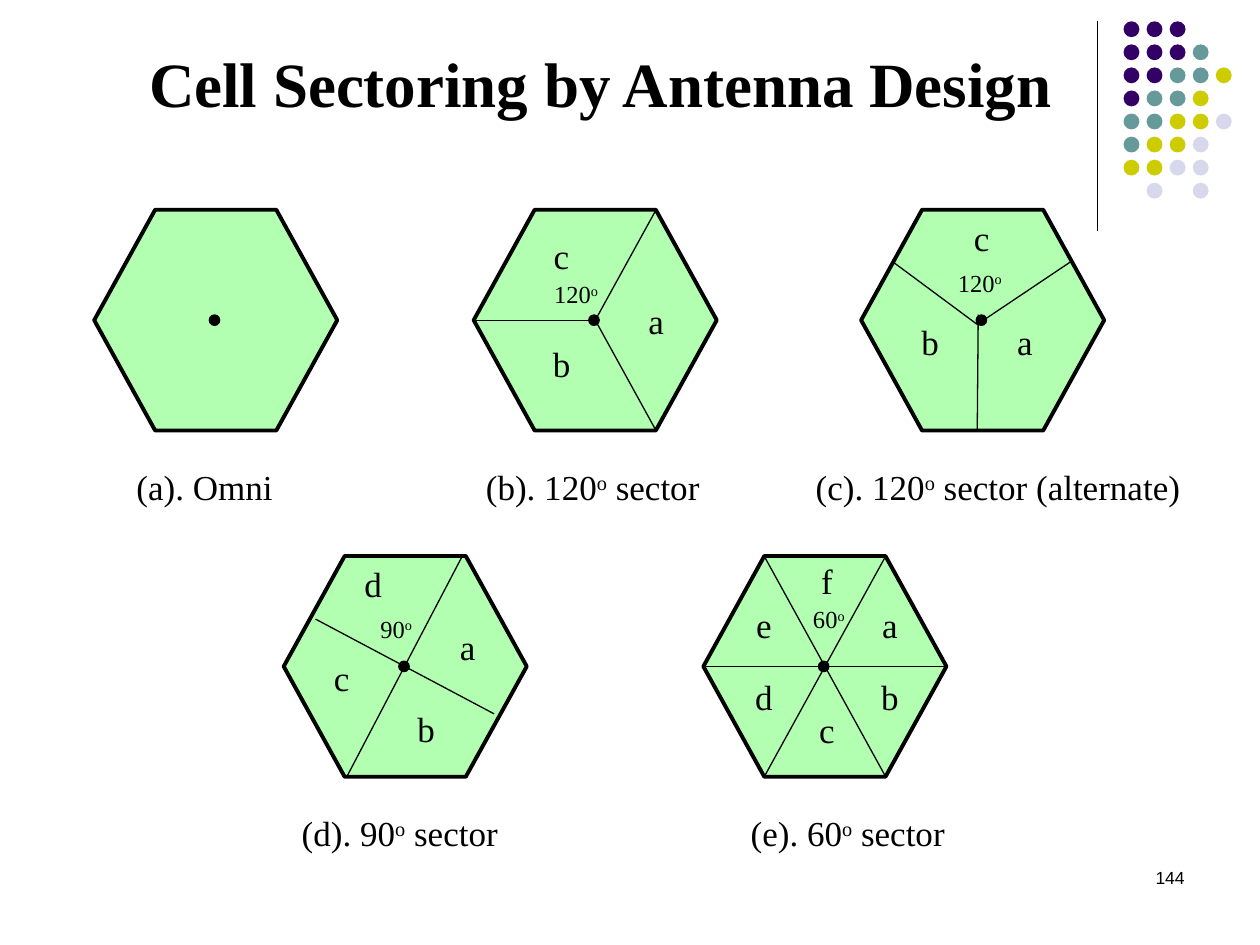
from lxml import etree
from pptx import Presentation
from pptx.dml.color import RGBColor
from pptx.enum.shapes import MSO_CONNECTOR, MSO_SHAPE
from pptx.enum.text import MSO_ANCHOR, PP_ALIGN
from pptx.oxml.ns import qn
from pptx.util import Cm, Pt

LINE = MSO_CONNECTOR.STRAIGHT
OVAL, HEX = MSO_SHAPE.OVAL, MSO_SHAPE.HEXAGON
LEFT, MID, RIGHT = PP_ALIGN.LEFT, PP_ALIGN.CENTER, PP_ALIGN.RIGHT
BOTTOM = MSO_ANCHOR.BOTTOM

BLACK = RGBColor(0x00, 0x00, 0x00)
GREEN = RGBColor(0x66, 0xFF, 0x66)
TINTS = {
    "P": RGBColor(0x33, 0x00, 0x66),
    "T": RGBColor(0x66, 0x99, 0x99),
    "Y": RGBColor(0xCC, 0xCC, 0x00),
    "L": RGBColor(0xD8, 0xD8, 0xEC),
}
DOTS = ["PPP", "PPPT", "PPTTY", "PTTY", "TTYYL", "TYYL", "YYLL", " L L"]
SERIF, SANS = "Times New Roman", "Arial"

# Cell size and hub in cm; corners lie a quarter of the width in
WIDE, HIGH = 4.9, 4.45
NEAR, FAR = WIDE / 4, WIDE * 3 / 4
HUB = (WIDE / 2, HIGH / 2)

# Points below are relative to the cell's top left corner.
# The mark ^ in a text stands for the raised degree letter.
CELLS = [
    {"at": (1.9, 4.23), "name": ("(a). Omni", 0, 4.45)},
    {"at": (9.55, 4.23), "name": ("(b). 120^ sector", -0.46, 5.72),
     "lines": [(HUB, (0, HIGH / 2)), (HUB, (FAR, 0)), (HUB, (FAR, HIGH))],
     "angle": ("120^", 1.37, 1.27),
     "tags": [("a", 3.15, 1.68), ("b", 1.24, 2.54), ("c", 1.24, 0.38)]},
    {"at": (17.36, 4.23), "name": ("(c). 120^ sector (alternate)", -1.47, 8.46),
     "lines": [((0.64, 1.05), (2.34, 2.31)), ((2.34, 2.31), (4.22, 1.05)),
               ((2.36, 2.11), (2.34, HIGH))],
     "angle": ("120^", 1.7, 1.04),
     "tags": [("a", 2.77, 2.11), ("b", 0.86, 2.11), ("c", 1.9, 0)]},
    {"at": (5.72, 11.21), "name": ("(d). 90^ sector", -0.2, 5.08),
     "lines": [((0.64, 1.27), (4.24, 3.18)), ((1.27, HIGH), (3.6, 0))],
     "angle": ("90^", 1.7, 1.04),
     "tags": [("a", 3.18, 1.27), ("b", 2.34, 2.92), ("c", 0.64, 1.9),
              ("d", 1.27, 0)]},
    {"at": (14.18, 11.21), "name": ("(e). 60^ sector", 0.05, 5.72),
     "lines": [((0, HIGH / 2), (WIDE, HIGH / 2)), ((NEAR, HIGH), (FAR, 0)),
               ((NEAR, 0), (FAR, HIGH))],
     "angle": ("60^", 1.96, 0.84),
     "tags": [("a", 3.23, 0.84), ("b", 3.23, 2.29), ("c", 1.96, 2.95),
              ("d", 0.69, 2.29), ("e", 0.69, 0.84), ("f", 1.96, -0.05)]},
]


def set_font(para, size, face, bold=False):
    font = para.font
    font.size, font.name, font.bold = Pt(size), face, bold
    font.color.rgb = BLACK


def add_text(slide, text, x, y, w, h, size, align=MID, face=SERIF):
    box = slide.shapes.add_textbox(Cm(x), Cm(y), Cm(w), Cm(h))
    box.text_frame.word_wrap = True
    para = box.text_frame.paragraphs[0]
    para.alignment = align
    set_font(para, size, face)
    head, mark, tail = text.partition("^")
    para.add_run().text = head
    if mark:
        run = para.add_run()
        run.text = "o"
        run.font._element.set("baseline", "30000")
    if tail:
        para.add_run().text = tail


def add_line(slide, x, y, start, end):
    line = slide.shapes.add_connector(
        LINE, Cm(x + start[0]), Cm(y + start[1]), Cm(x + end[0]), Cm(y + end[1]))
    line.line.color.rgb = BLACK
    line.line.width = Pt(0.75)
    etree.SubElement(line._element.spPr, qn("a:effectLst"))


def add_shape(slide, kind, x, y, w, h, fill, width=0):
    shape = slide.shapes.add_shape(kind, Cm(x), Cm(y), Cm(w), Cm(h))
    shape.shadow.inherit = False
    shape.fill.solid()
    shape.fill.fore_color.rgb = fill
    if width:
        shape.line.color.rgb = BLACK
        shape.line.width = Pt(width)
    else:
        shape.line.fill.background()
    return shape


def add_head(slide, x, y, w, h):
    title = slide.shapes.title
    title.left, title.top, title.width, title.height = Cm(x), Cm(y), Cm(w), Cm(h)
    frame = title.text_frame
    frame.text = "Cell Sectoring by Antenna Design"
    frame.vertical_anchor = BOTTOM
    para = frame.paragraphs[0]
    para.alignment = LEFT
    set_font(para, 36, SERIF, True)


def add_decor(slide, x, y, h):
    # Rule with a grid of coloured dots to its right
    add_line(slide, x, y, (0, 0), (0, h))
    step, size = 0.465, 0.32
    for row, tints in enumerate(DOTS):
        for col, tint in enumerate(tints):
            if tint in TINTS:
                add_shape(slide, OVAL, x + 0.53 + col * step, y + row * step,
                          size, size, TINTS[tint])


def add_cell(slide, cell):
    x, y = cell["at"]
    # Half clear hexagon
    body = add_shape(slide, HEX, x, y, WIDE, HIGH, GREEN, 2.25)
    body.adjustments[0] = 0.276
    tint = body._element.spPr.find(qn("a:solidFill")).find(qn("a:srgbClr"))
    etree.SubElement(tint, qn("a:alpha"), val="50000")

    # Sector borders and antenna
    for start, end in cell.get("lines", []):
        add_line(slide, x, y, start, end)
    add_shape(slide, OVAL, x + 2.32, y + 2.12, 0.21, 0.21, BLACK, 0.75)

    # Angle, sector letters and caption
    if "angle" in cell:
        text, left, top = cell["angle"]
        add_text(slide, text, x + left, y + top, 1.78, 0.85, 14, LEFT)
    for text, left, top in cell.get("tags", []):
        add_text(slide, text, x + left, y + top, 1.06, 1.1, 20)
    text, left, wide = cell["name"]
    add_text(slide, text, x + left, y + 5.03, wide, 1.1, 20)


def main():
    deck = Presentation()
    deck.slide_width, deck.slide_height = Cm(25.4), Cm(19.05)
    slide = deck.slides.add_slide(deck.slide_layouts[5])
    add_decor(slide, 22.12, 0.43, 4.22)
    add_head(slide, 2.75, 0.43, 21.59, 2.11)
    for cell in CELLS:
        add_cell(slide, cell)
    # Page number
    add_text(slide, "144", 18.2, 17.36, 5.93, 1.27, 10, RIGHT, SANS)
    deck.save("out.pptx")


if __name__ == "__main__":
    main()
